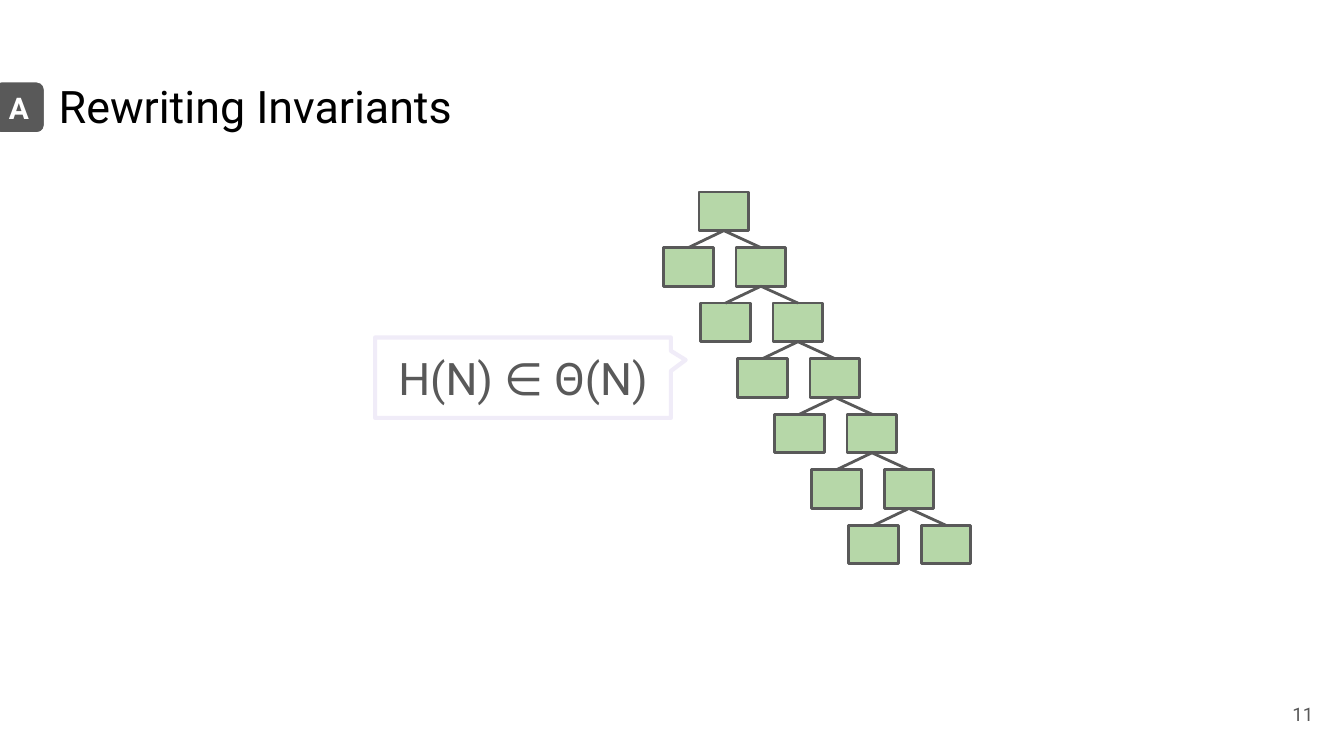
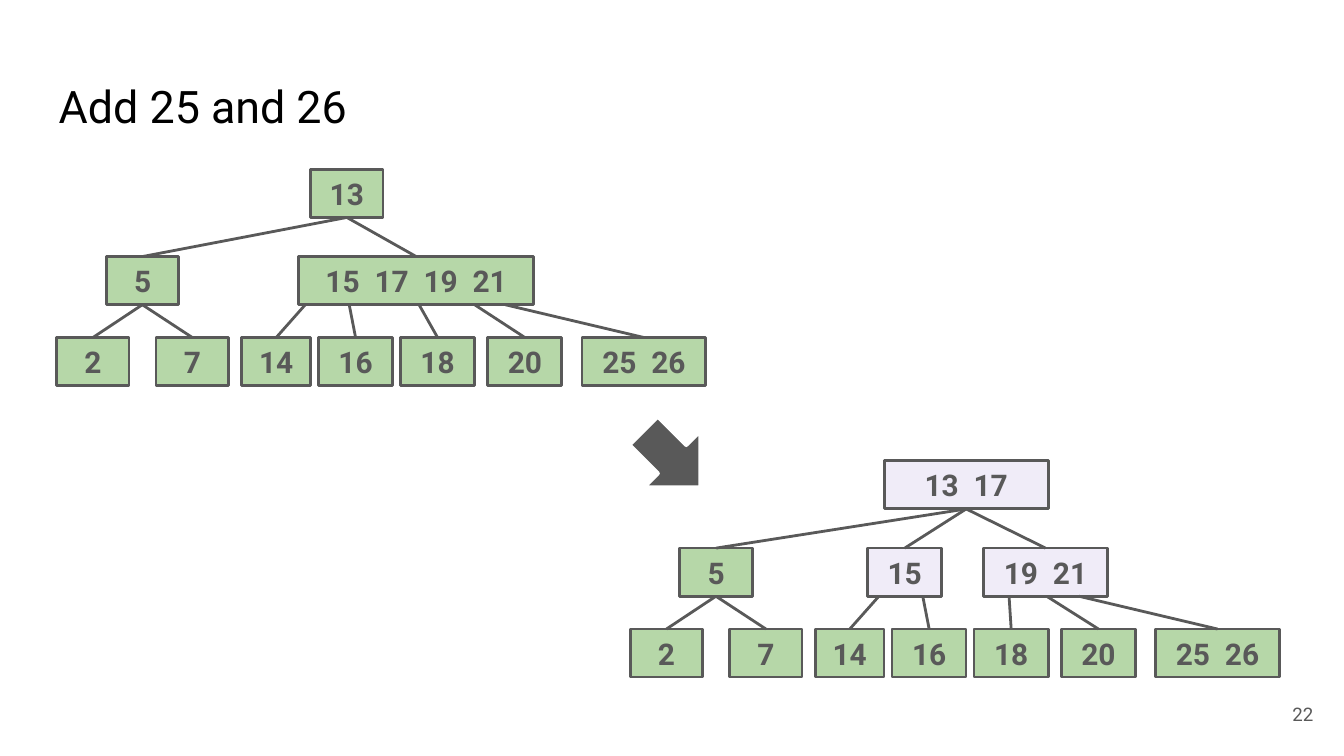
from dataclasses import dataclass
from typing import Any

from lxml import etree
from pptx import Presentation
from pptx.dml.color import RGBColor
from pptx.enum.shapes import MSO_CONNECTOR, MSO_SHAPE
from pptx.enum.text import MSO_ANCHOR, MSO_AUTO_SIZE, PP_ALIGN
from pptx.oxml.ns import qn
from pptx.util import Cm, Pt

RECTANGLE = MSO_SHAPE.RECTANGLE
ROUNDED = MSO_SHAPE.ROUNDED_RECTANGLE
CALLOUT = MSO_SHAPE.ROUNDED_RECTANGULAR_CALLOUT
ARROW = MSO_SHAPE.RIGHT_ARROW
STRAIGHT = MSO_CONNECTOR.STRAIGHT
LEFT, CENTER, RIGHT = PP_ALIGN.LEFT, PP_ALIGN.CENTER, PP_ALIGN.RIGHT
TOP, MIDDLE = MSO_ANCHOR.TOP, MSO_ANCHOR.MIDDLE
NO_AUTOFIT = MSO_AUTO_SIZE.NONE

FONT = "Roboto"
COLORS = {
    "black": "000000",
    "white": "FFFFFF",
    "gray": "595959",
    "green": "B6D7A8",
    "lilac": "F0ECF8",
}
THIN, THICK = 1.5, 2.25
INSET = 0.25
KEY_GAP = "400"  # extra width of the space between two keys, in 1/100 pt


@dataclass(frozen=True)
class Box:
    """A rectangle in centimetres."""
    left: float
    top: float
    width: float
    height: float

    @property
    def middle(self) -> float:
        return self.left + self.width / 2

    @property
    def bottom(self) -> float:
        return self.top + self.height

    def lengths(self) -> tuple[Cm, Cm, Cm, Cm]:
        return Cm(self.left), Cm(self.top), Cm(self.width), Cm(self.height)


@dataclass(frozen=True)
class Style:
    size: float
    color: str
    bold: bool = False
    align: Any = CENTER
    anchor: Any = MIDDLE


@dataclass(frozen=True)
class Node:
    """A tree node; left is measured from the origin of its tree."""
    keys: str
    left: float
    width: float = 1.4
    fill: str = "green"


@dataclass(frozen=True)
class Branch:
    """An inner node and the points on its bottom edge where links start."""
    node: Node
    exits: tuple[float, ...]


@dataclass(frozen=True)
class Tree:
    left: float
    top: float
    root: Node
    branches: tuple[Branch, ...]


TITLE = Style(24, "black", align=LEFT, anchor=TOP)
PAGE_NUMBER = Style(10, "gray", align=RIGHT)
BADGE = Style(16, "white", bold=True)
FORMULA = Style(24, "gray")
KEY = Style(16, "gray", bold=True)

TITLE_BOX = Box(0.86, 1.24, 23.67, 1.6)
PAGE_BOX = Box(23.55, 12.95, 1.52, 1.09)
BADGE_BOX = Box(-0.15, 1.52, 1.02, 1.02)
FORMULA_BOX = Box(7.09, 6.38, 5.59, 1.52)
ARROW_BOX = Box(11.94, 7.92, 1.52, 1.52)

SPINE_TOP = Box(13.21, 3.63, 0.94, 0.73)
SPINE_STEP = (0.7, 1.05)
SIBLING_SHIFT = 1.37
SPINE_LEVELS = 6

ROOT_ROW, BRANCH_ROW, LEAF_ROW = 0, 1.65, 3.18
NODE_HEIGHT = 0.91
LEAVES = (
    Node("2", 1.07, 1.37), Node("7", 2.95, 1.37), Node("14", 4.57, 1.3),
    Node("16", 6.02), Node("18", 7.57), Node("20", 9.22),
    Node("25 26", 11, 2.34),
)
FIVE = Branch(Node("5", 2.01, 1.37), (2.69, 2.69))
TREES = (
    Tree(0, 3.2, Node("13", 5.87, 1.37), (
        FIVE,
        Branch(Node("15 17 19 21", 5.64, 4.45), (5.77, 6.6, 7.92, 8.97, 9.55)),
    )),
    Tree(10.84, 8.71, Node("13 17", 5.87, 3.1, "lilac"), (
        FIVE,
        Branch(Node("15", 5.56, fill="lilac"), (5.77, 6.6)),
        Branch(Node("19 21", 7.75, 2.34, "lilac"), (8.23, 8.94, 9.55)),
    )),
)


def rgb(name: str) -> RGBColor:
    return RGBColor.from_string(COLORS[name])


def write(shape: Any, text: str, style: Style, spread: bool = False) -> None:
    """Fill a shape with one paragraph; spread widens the spaces between words."""
    frame = shape.text_frame
    frame.word_wrap = True
    frame.auto_size = NO_AUTOFIT
    frame.vertical_anchor = style.anchor
    frame.margin_left = frame.margin_right = Cm(INSET)
    frame.margin_top = frame.margin_bottom = Cm(INSET)
    paragraph = frame.paragraphs[0]
    paragraph.alignment = style.align
    pieces = text.replace(" ", "| |").split("|") if spread else [text]
    for piece in pieces:
        run = paragraph.add_run()
        run.text = piece
        run.font.name = FONT
        run.font.size = Pt(style.size)
        run.font.bold = style.bold
        run.font.color.rgb = rgb(style.color)
        if piece == " ":
            run.font._element.set("spc", KEY_GAP)


def add_box(shapes: Any, kind: Any, box: Box, fill: str,
            line: str = "gray", weight: float = THIN) -> Any:
    shape = shapes.add_shape(kind, *box.lengths())
    shape.shadow.inherit = False
    shape.fill.solid()
    shape.fill.fore_color.rgb = rgb(fill)
    shape.line.color.rgb = rgb(line)
    shape.line.width = Pt(weight)
    return shape


def add_link(shapes: Any, exit_x: float, parent: Box, child: Box) -> None:
    """Join the bottom edge of a parent to the top middle of a child."""
    link = shapes.add_connector(STRAIGHT, Cm(exit_x), Cm(parent.bottom),
                                Cm(child.middle), Cm(child.top))
    link.line.color.rgb = rgb("gray")
    link.line.width = Pt(THIN)
    etree.SubElement(link._element.spPr, qn("a:effectLst"))


def add_slide(deck: Any, title: str, number: str) -> Any:
    slide = deck.slides.add_slide(deck.slide_layouts[5])
    heading = slide.shapes.title
    heading.left, heading.top, heading.width, heading.height = TITLE_BOX.lengths()
    write(heading, title, TITLE)
    write(slide.shapes.add_textbox(*PAGE_BOX.lengths()), number, PAGE_NUMBER)
    return slide


def add_spindly_tree(slide: Any) -> None:
    shapes = slide.shapes.add_group_shape().shapes
    parent = SPINE_TOP
    add_box(shapes, RECTANGLE, parent, "green")
    step_x, step_y = SPINE_STEP
    for _ in range(SPINE_LEVELS):
        right = Box(parent.left + step_x, parent.top + step_y,
                    parent.width, parent.height)
        left = Box(right.left - SIBLING_SHIFT, right.top,
                   right.width, right.height)
        for child in (left, right):
            add_box(shapes, RECTANGLE, child, "green")
            add_link(shapes, parent.middle, parent, child)
        parent = right


def add_key_tree(slide: Any, tree: Tree) -> None:
    shapes = slide.shapes.add_group_shape().shapes

    def place(node: Node, row: float) -> Box:
        box = Box(tree.left + node.left, tree.top + row, node.width, NODE_HEIGHT)
        write(add_box(shapes, RECTANGLE, box, node.fill), node.keys, KEY, spread=True)
        return box

    root = place(tree.root, ROOT_ROW)
    leaves = iter(LEAVES)
    for branch in tree.branches:
        inner = place(branch.node, BRANCH_ROW)
        add_link(shapes, root.middle, root, inner)
        for exit_x in branch.exits:
            leaf = place(next(leaves), LEAF_ROW)
            add_link(shapes, tree.left + exit_x, inner, leaf)


def build_invariants(deck: Any) -> None:
    slide = add_slide(deck, "Rewriting Invariants", "11")
    badge = add_box(slide.shapes, ROUNDED, BADGE_BOX, "gray", "white", THICK)
    write(badge, "A", BADGE)
    add_spindly_tree(slide)
    formula = add_box(slide.shapes, CALLOUT, FORMULA_BOX, "white", "lilac", THICK)
    for index, value in enumerate((0.55, -0.22, 0)):
        formula.adjustments[index] = value
    write(formula, "H(N) ∈ Θ(N)", FORMULA)


def build_insertion(deck: Any) -> None:
    slide = add_slide(deck, "Add 25 and 26", "22")
    for tree in TREES:
        add_key_tree(slide, tree)
    arrow = add_box(slide.shapes, ARROW, ARROW_BOX, "gray", "white", THICK)
    arrow.rotation = 45


def main() -> None:
    deck = Presentation()
    deck.slide_width, deck.slide_height = Cm(25.4), Cm(14.29)
    build_invariants(deck)
    build_insertion(deck)
    deck.save("out.pptx")


if __name__ == "__main__":
    main()
